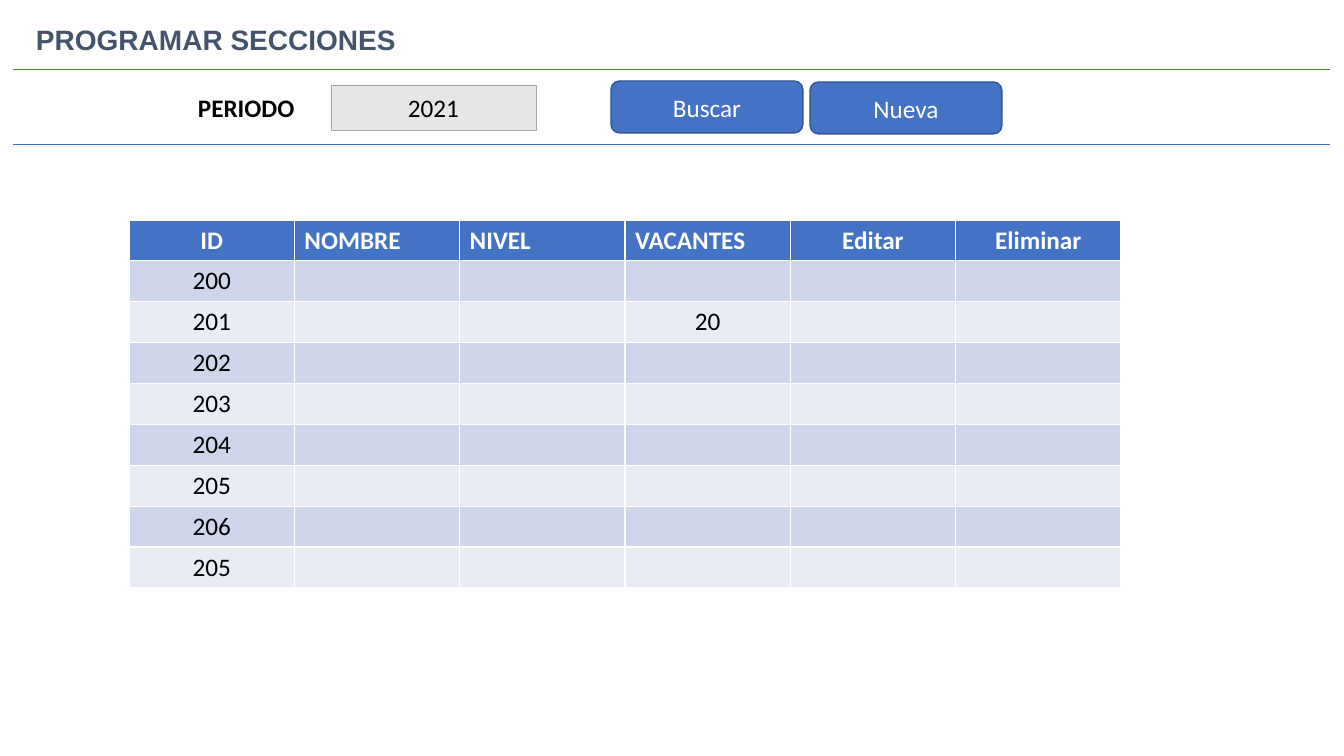
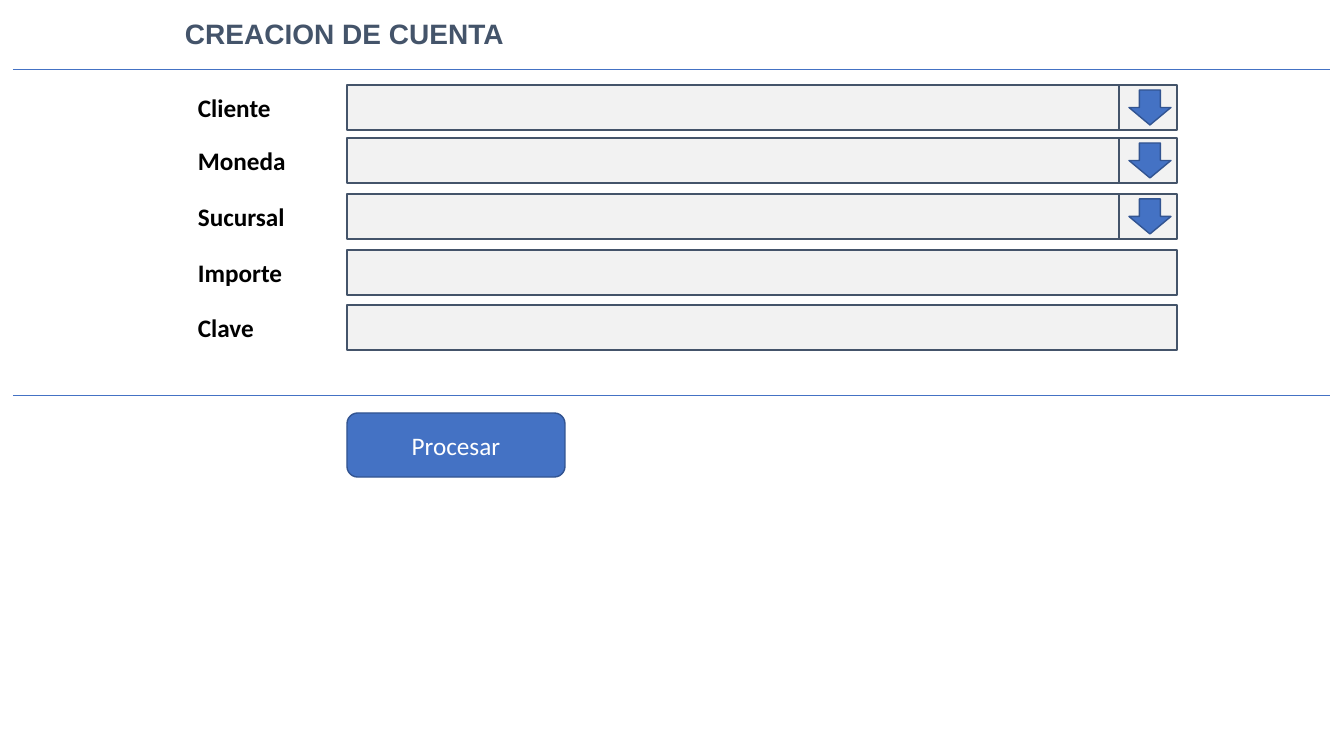
from lxml import etree
from pptx import Presentation
from pptx.dml.color import RGBColor
from pptx.enum.shapes import MSO_CONNECTOR, MSO_SHAPE
from pptx.enum.text import MSO_ANCHOR, MSO_AUTO_SIZE, PP_ALIGN
from pptx.oxml.ns import qn
from pptx.util import Pt

RECT = MSO_SHAPE.RECTANGLE
ROUND = MSO_SHAPE.ROUNDED_RECTANGLE
ARROW = MSO_SHAPE.DOWN_ARROW
LINE = MSO_CONNECTOR.STRAIGHT
LEFT, CENTER = PP_ALIGN.LEFT, PP_ALIGN.CENTER
MIDDLE = MSO_ANCHOR.MIDDLE
GROW = MSO_AUTO_SIZE.SHAPE_TO_FIT_TEXT

SCALE = 914400 / 100.8
COLORS = {
    "title": "44546A", "blue": "4472C4", "edge": "325491",
    "black": "000000", "white": "FFFFFF", "gray": "E7E6E6",
    "border": "A5A5A5", "field": "F2F2F2",
    "odd": "CFD5EA", "even": "E9EBF5",
}


def emu(*sizes):
    return [round(size * SCALE) for size in sizes]


def color(name):
    return RGBColor.from_string(COLORS[name])


class Form:
    def __init__(self):
        self.deck = Presentation()
        self.deck.slide_width, self.deck.slide_height = emu(1344, 756)
        self.slide = None

    def page(self, title, left, top, width, base):
        self.slide = self.deck.slides.add_slide(self.deck.slide_layouts[6])
        self.label(title, left, top, width, 44, 20, "Arial", "title")
        for y in (69, base):
            self.rule(y)

    def style(self, frame, text, size=18, font="Calibri", ink="black",
              bold=False, align=LEFT):
        frame.text = text
        para = frame.paragraphs[0]
        para.alignment = align
        for run in para.runs:
            run.font.size = Pt(size)
            run.font.name = font
            run.font.bold = bold
            run.font.color.rgb = color(ink)

    def label(self, text, left, top, width, height=40, size=18,
              font="Calibri", ink="black"):
        box = self.slide.shapes.add_textbox(*emu(left, top, width, height))
        frame = box.text_frame
        frame.word_wrap = False
        frame.auto_size = GROW
        self.style(frame, text, size, font, ink, True)

    def rule(self, y):
        line = self.slide.shapes.add_connector(LINE, *emu(13, y, 1330, y))
        line.line.color.rgb = color("blue")
        line.line.width = Pt(0.5)
        etree.SubElement(line._element.spPr, qn("a:effectLst"))

    def shape(self, kind, left, top, width, height, fill="blue", edge="edge",
              weight=1, text="", ink="white"):
        item = self.slide.shapes.add_shape(kind, *emu(left, top, width, height))
        item.shadow.inherit = False
        item.fill.solid()
        item.fill.fore_color.rgb = color(fill)
        item.line.color.rgb = color(edge)
        item.line.width = Pt(weight)
        if text:
            item.text_frame.vertical_anchor = MIDDLE
            self.style(item.text_frame, text, ink=ink, align=CENTER)

    def button(self, text, left, top, width, height):
        self.shape(ROUND, left, top, width, height, text=text)

    def field(self, left, top, width):
        self.shape(RECT, left, top, width, 45, "field", "title", 1.5)

    def entry(self, text, top, width, combo):
        self.label(text, 188, top + 2, width)
        if combo:
            self.field(347, top, 772)
            self.field(1119, top, 58)
            self.shape(ARROW, 1129, top + 5, 42, 35)
        else:
            self.field(347, top, 830)

    def table(self, heads, rows, left, top, width, height):
        grid = self.slide.shapes.add_table(
            len(rows) + 1, len(heads), *emu(left, top, width, height)).table
        for r, row in enumerate([list(heads)] + rows):
            for c, text in enumerate(row):
                cell = grid.cell(r, c)
                cell.fill.solid()
                if r == 0:
                    fill, ink, align = "blue", "white", heads[text]
                else:
                    fill, ink, align = "odd" if r % 2 else "even", "black", CENTER
                cell.fill.fore_color.rgb = color(fill)
                self.style(cell.text_frame, text, ink=ink, bold=r == 0,
                           align=align)


form = Form()

form.page("PROGRAMAR SECCIONES", 26, 18, 384, 144)
form.label("PERIODO", 188, 87, 118)
form.shape(RECT, 331, 85, 205, 45, "gray", "border", 0.5, "2021", "black")
form.button("Buscar", 611, 81, 192, 52)
form.button("Nueva", 810, 82, 192, 52)
heads = {"ID": CENTER, "NOMBRE": LEFT, "NIVEL": LEFT, "VACANTES": LEFT,
         "Editar": CENTER, "Eliminar": CENTER}
spots = {"201": "20"}
codes = ["200", "201", "202", "203", "204", "205", "206", "205"]
rows = [[code, "", "", spots.get(code, ""), "", ""] for code in codes]
form.table(heads, rows, 129, 220, 992, 368)

form.page("CREACION DE CUENTA", 175, 12, 343, 395)
for text, top, width, combo in (
        ("Cliente", 85, 94, True),
        ("Moneda", 138, 109, True),
        ("Sucursal", 194, 108, True),
        ("Importe", 250, 105, False),
        ("Clave", 305, 77, False)):
    form.entry(text, top, width, combo)
form.button("Procesar", 347, 413, 218, 64)

form.deck.save("out.pptx")
